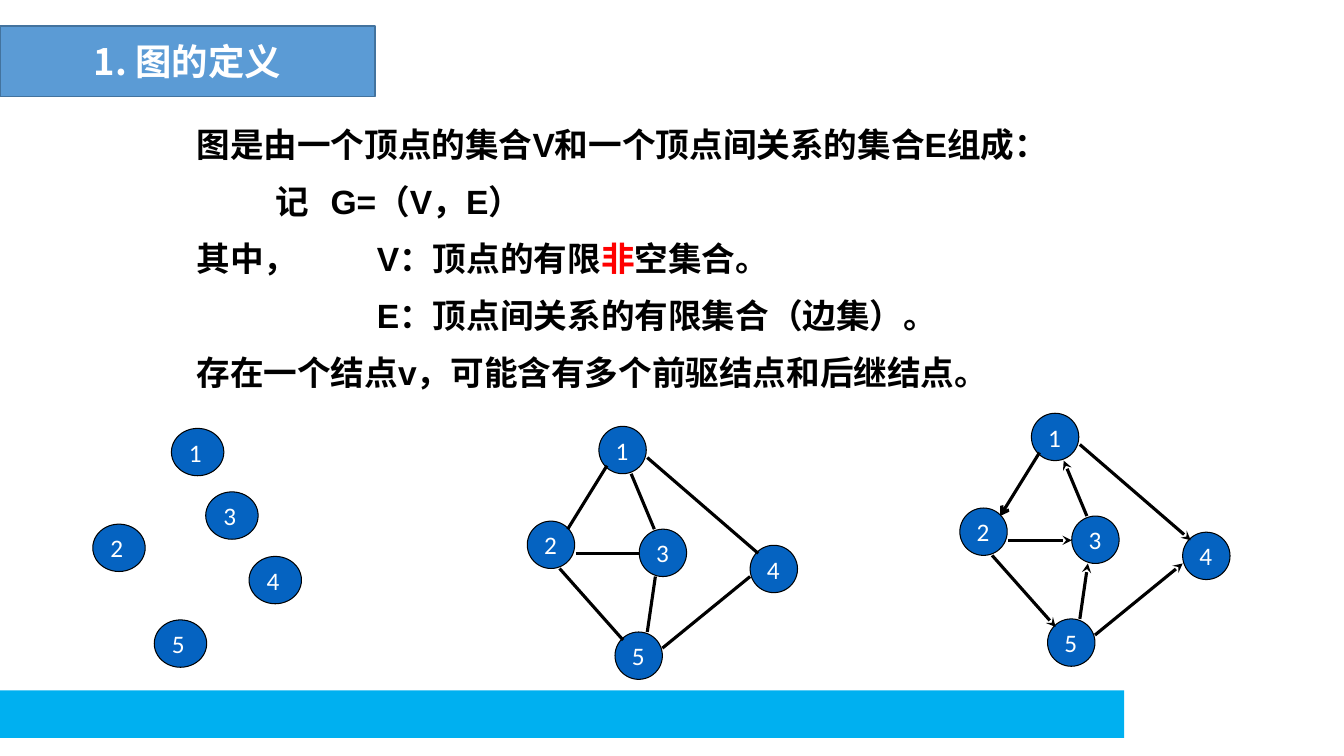
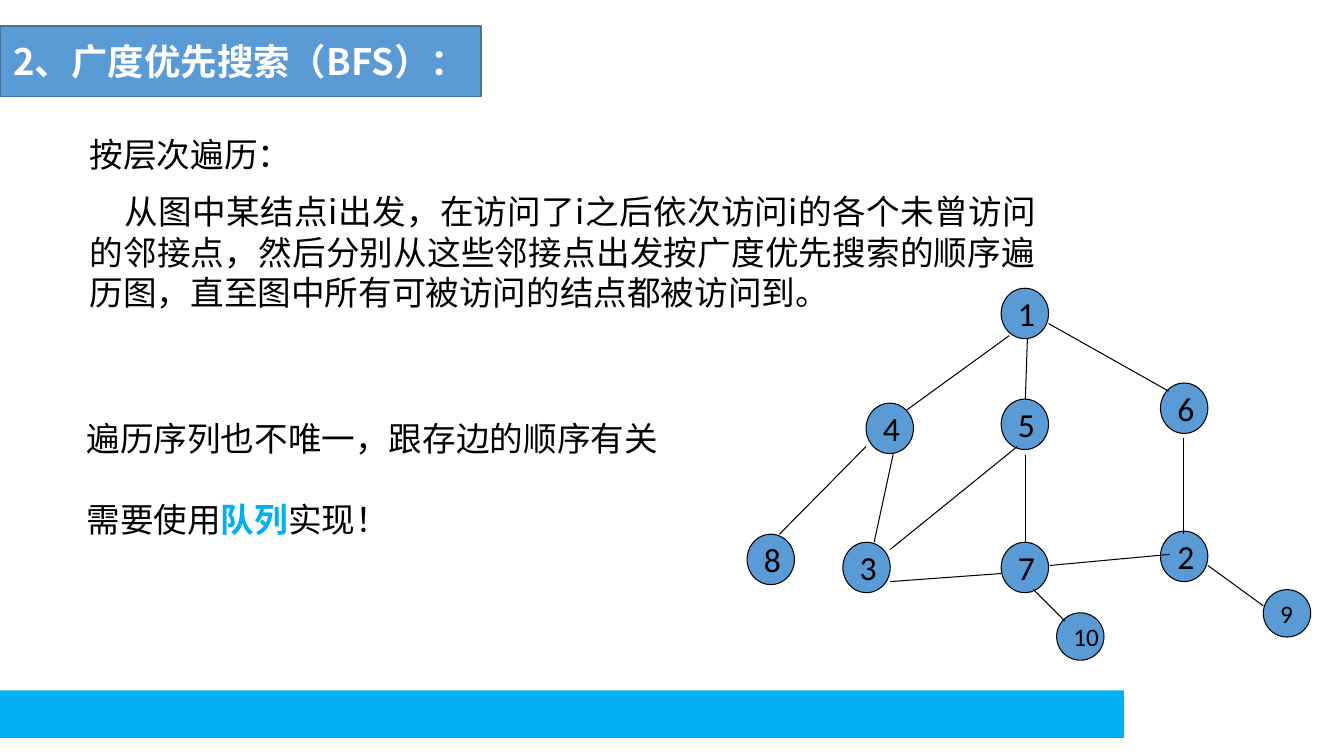
from pptx import Presentation
from pptx import util as u
from pptx.dml.color import RGBColor
from pptx.enum import shapes, text
from pptx.oxml.ns import qn
from lxml import etree

# Shared look
W, H = 13.33, 7.5
SANS = "Noto Sans CJK SC"
BLACK, WHITE, RED = "000000", "FFFFFF", "FF0000"
SKY, BLUE, DEEP, EDGE = "00B0F0", "5B9BD5", "0563C1", "43739E"
BODY = dict(size=24, name="Arial", color=BLACK, bold=True)
PLAIN = dict(BODY, name=SANS, bold=False)
HEAD = dict(size=26, name=SANS, color=WHITE, bold=True)
NODE = dict(size=18, name="Calibri", color=WHITE, bold=False)
DARK = dict(NODE, color=BLACK)
BIG = dict(DARK, size=24)
DOT = 0.47

# Paragraphs: runs (text, changes) and paragraph options
DEFINE = [
    ([("\t图是由一个顶点的集合V和一个顶点间关系的集合E组成：", {})],
     dict(tabs=[0.21])),
    ([("\t记\tG=（V，E）", {})], dict(tabs=[0.99, 1.54], before=12)),
    ([("\t其中，\tV：顶点的有限", {}), ("非", dict(color=RED)),
      ("空集合。", {})], dict(tabs=[0.21, 2], before=12)),
    ([("\tE：顶点间关系的有限集合（边集）。", {})], dict(tabs=[2], before=12)),
    ([("\t存在一个结点v，可能含有多个前驱结点和后继结点。", {})],
     dict(tabs=[0.21], before=12)),
]
SEARCH = [
    ([("按层次遍历：", {})], dict(just=True)),
    ([("从图中某结点i出发，在访问了i之后依次访问i的各个未曾访问的邻接点，"
       "然后分别从这些邻接点出发按广度优先搜索的顺序遍历图，"
       "直至图中所有可被访问的结点都被访问到。", {})],
     dict(just=True, before=12, indent=0.35)),
]
QUEUE = [
    ([("遍历序列也不唯一，跟存边的顺序有关", {})], {}),
    ([("需要使用", {}), ("队列", dict(color=SKY, bold=True)), ("实现！", {})],
     dict(before=28.5)),
]

# Graphs: left and top of each node, ends of each edge
LOOSE = {1: (1.7, 4.25), 2: (0.92, 5.2), 5: (1.53, 6.15),
         3: (2.04, 4.88), 4: (2.47, 5.52)}
NET = {1: (5.94, 4.23), 2: (5.23, 5.17), 5: (6.1, 6.27),
       3: (6.34, 5.25), 4: (7.44, 5.41)}
LINKS = [  # ends, then the arrowhead used when directed
    (6.02, 4.62, 5.63, 5.25, ("tailEnd", "arrow")),
    (6.26, 4.7, 6.49, 5.25, ("headEnd", "stealth")),
    (5.55, 5.64, 6.18, 6.35, ("tailEnd", "stealth")),
    (5.71, 5.49, 6.34, 5.49, ("tailEnd", "stealth")),
    (6.42, 4.54, 7.52, 5.49, ("tailEnd", "stealth")),
    (6.57, 6.43, 7.44, 5.72, ("tailEnd", "stealth")),
    (6.42, 6.27, 6.5, 5.72, ("tailEnd", "stealth")),
]
SHIFT = (4.29, -0.13)
TREE = {1: (9.93, 2.86), 4: (8.59, 4), 3: (8.36, 5.38), 5: (9.93, 3.96),
        6: (11.51, 3.8), 7: (9.93, 5.38), 8: (7.41, 5.3), 2: (11.51, 5.27)}
LEAVES = {9: (12.53, 5.85), 10: (10.48, 6.08)}
TWIGS = [
    (10.01, 3.33, 8.99, 4.07), (10.19, 3.36, 10.17, 3.96),
    (10.4, 3.21, 11.59, 3.88), (8.86, 4.5, 8.67, 5.38),
    (8.83, 5.77, 9.93, 5.69), (10.41, 5.61, 11.6, 5.5),
    (11.74, 4.35, 11.74, 5.3), (10.17, 5.38, 10.17, 4.51),
    (8.83, 5.45, 10.09, 4.43), (8.59, 4.43, 7.73, 5.3),
    (11.98, 5.61, 12.53, 6.01), (10.25, 5.85, 10.56, 6.16),
]


def rgb(code):
    return RGBColor.from_string(code)


def inch(*nums):
    return [u.Inches(n) for n in nums]


def write(par, words, style):
    run = par.add_run()
    run.text = words
    font = run.font
    font.color.rgb = rgb(style["color"])
    for key, val in dict(size=u.Pt(style["size"]), name=style["name"],
                         bold=style["bold"]).items():
        setattr(font, key, val)
    east = etree.SubElement(run._r.get_or_add_rPr(), qn("a:ea"))
    east.set("typeface", SANS)


def shape(page, kind, at, fill, line=None, width=0.75):
    item = page.shapes.add_shape(kind, *inch(*at))
    item.shadow.inherit = False
    item.fill.solid()
    item.fill.fore_color.rgb = rgb(fill)
    if line:
        item.line.color.rgb = rgb(line)
        item.line.width = u.Pt(width)
    else:
        item.line.fill.background()
    return item


def prose(page, at, pars, style):
    frame = page.shapes.add_textbox(*inch(*at)).text_frame
    frame.word_wrap = True
    for i, (runs, opts) in enumerate(pars):
        par = frame.add_paragraph() if i else frame.paragraphs[0]
        par.space_before = u.Pt(opts.get("before", 0))
        if opts.get("just"):
            par.alignment = text.PP_ALIGN.JUSTIFY
        prop = par._p.get_or_add_pPr()
        if "indent" in opts:
            prop.set("indent", str(u.Inches(opts["indent"])))
        if "tabs" in opts:
            tabs = etree.SubElement(prop, qn("a:tabLst"))
            for pos in opts["tabs"]:
                etree.SubElement(tabs, qn("a:tab"),
                                 pos=str(u.Inches(pos)), algn="l")
        for words, change in runs:
            write(par, words, {**style, **change})


def nodes(page, spots, size, fill, style, shift=(0, 0)):
    for label, (x, y) in spots.items():
        at = (x + shift[0], y + shift[1], *size)
        item = shape(page, shapes.MSO_SHAPE.OVAL, at, fill, BLACK)
        item.text_frame.word_wrap = False
        par = item.text_frame.paragraphs[0]
        par.alignment = text.PP_ALIGN.LEFT
        write(par, str(label), style)


def edge(page, ends, width, shift=(0, 0), arrow=None):
    x, y, x2, y2 = ends
    dx, dy = shift
    line = page.shapes.add_connector(
        shapes.MSO_CONNECTOR.STRAIGHT,
        *inch(x + dx, y + dy, x2 + dx, y2 + dy))
    line.line.color.rgb = rgb(BLACK)
    line.line.width = u.Pt(width)
    if arrow:
        tag, kind = arrow
        etree.SubElement(line.line._get_or_add_ln(), qn("a:" + tag), type=kind)
    etree.SubElement(line._element.spPr, qn("a:effectLst"))


def start(deck, title, width):
    """Add a page with its footer band and title box."""
    page = deck.slides.add_slide(deck.slide_layouts[6])
    rect = shapes.MSO_SHAPE.RECTANGLE
    shape(page, rect, (0, 6.85, 11.15, DOT), SKY)
    box = shape(page, rect, (0, 0.26, width, 0.7), BLUE, EDGE, 1)
    par = box.text_frame.paragraphs[0]
    par.alignment = text.PP_ALIGN.CENTER
    write(par, title, HEAD)
    return page


def main():
    deck = Presentation()
    deck.slide_width, deck.slide_height = inch(W, H)

    # Definition: loose nodes, undirected graph, directed graph
    page = start(deck, "1. 图的定义", 3.72)
    prose(page, (1.64, 1.18, 10.41, 2.93), DEFINE, BODY)
    nodes(page, LOOSE, (0.52, DOT), DEEP, NODE)
    for shift, aimed in (((0, 0), False), (SHIFT, True)):
        nodes(page, NET, (DOT, DOT), DEEP, NODE, shift)
        for *ends, arrow in LINKS:
            edge(page, ends, 2.25, shift, arrow if aimed else None)

    # Breadth-first search
    page = start(deck, "2、广度优先搜索（BFS）：", 4.77)
    prose(page, (0.79, 1.28, 9.58, 1.92), SEARCH, PLAIN)
    nodes(page, TREE, (DOT, 0.5), BLUE, BIG)
    nodes(page, LEAVES, (DOT, DOT), BLUE, DARK)
    for ends in TWIGS:
        edge(page, ends, 0.75)
    prose(page, (0.76, 4.1, 9.06, 1.31), QUEUE, PLAIN)

    deck.save("out.pptx")


if __name__ == "__main__":
    main()
